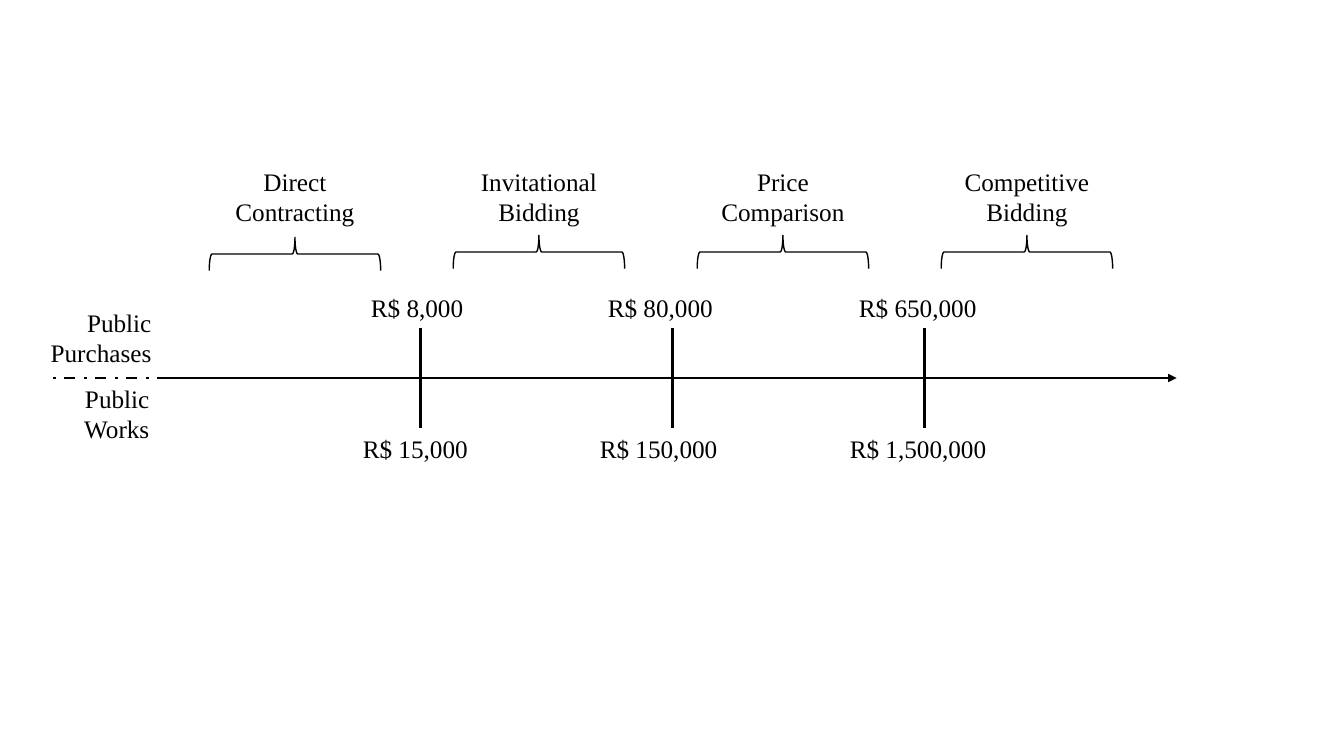
from dataclasses import dataclass

from lxml.etree import SubElement
from pptx import Presentation
from pptx.dml.color import RGBColor
from pptx.enum.dml import MSO_LINE
from pptx.enum.shapes import MSO_CONNECTOR, MSO_SHAPE
from pptx.enum.text import MSO_AUTO_SIZE, PP_ALIGN
from pptx.oxml.ns import qn
from pptx.shapes.connector import Connector
from pptx.slide import Slide
from pptx.util import Inches, Pt

BLACK = RGBColor(0x00, 0x00, 0x00)
FONT = "Times New Roman"
AXIS_Y = 3.75
AXIS_START = 1.67
TICK_HALF = 0.5
BRACE_WIDTH, BRACE_LENGTH = 0.33, 1.7
METHOD_LEFT, METHOD_STEP, METHOD_WIDTH = 2.05, 2.42, 1.75


@dataclass
class Label:
    text: str
    left: float
    top: float
    width: float
    height: float = 0.4
    align: PP_ALIGN = PP_ALIGN.LEFT


@dataclass
class Threshold:
    tick_x: float
    purchases: Label
    works: Label


METHODS = [
    "Direct\nContracting",
    "Invitational\nBidding",
    "Price\nComparison",
    "Competitive\nBidding",
]
THRESHOLDS = [
    Threshold(4.17, Label("R$ 8,000", 3.58, 2.85, 1.17), Label("R$ 15,000", 3.5, 4.25, 1.33)),
    Threshold(6.67, Label("R$ 80,000", 5.93, 2.85, 1.4), Label("R$ 150,000", 5.85, 4.25, 1.49)),
    Threshold(9.17, Label("R$ 650,000", 8.42, 2.85, 1.58), Label("R$ 1,500,000", 8.33, 4.25, 1.67)),
]
SIDES = [
    Label("Public\nPurchases", 0.25, 3, 1.35, 0.71, PP_ALIGN.RIGHT),
    Label("Public Works", 0.48, AXIS_Y, 1.1, 0.71, PP_ALIGN.RIGHT),
]


def add_label(page: Slide, label: Label) -> None:
    """Write one label in the slide's font."""
    box = page.shapes.add_textbox(
        Inches(label.left), Inches(label.top), Inches(label.width), Inches(label.height)
    )
    frame = box.text_frame
    frame.word_wrap = True
    frame.auto_size = MSO_AUTO_SIZE.SHAPE_TO_FIT_TEXT
    frame.text = label.text
    for para in frame.paragraphs:
        para.alignment = label.align
        for span in para.runs:
            span.font.name = FONT
            span.font.size = Pt(18)
            span.font.color.rgb = BLACK


def add_line(page: Slide, x1: float, y1: float, x2: float, y2: float) -> Connector:
    """Draw a straight black line without a shadow."""
    line = page.shapes.add_connector(
        MSO_CONNECTOR.STRAIGHT, Inches(x1), Inches(y1), Inches(x2), Inches(y2)
    )
    line.line.color.rgb = BLACK
    line.line.width = Pt(2)
    SubElement(line._element.spPr, qn("a:effectLst"))
    return line


def add_brace(page: Slide, center_x: float, center_y: float) -> None:
    """Draw a brace that points up at its method."""
    brace = page.shapes.add_shape(
        MSO_SHAPE.LEFT_BRACE,
        Inches(center_x - BRACE_WIDTH / 2),
        Inches(center_y - BRACE_LENGTH / 2),
        Inches(BRACE_WIDTH),
        Inches(BRACE_LENGTH),
    )
    brace.rotation = 90
    brace.shadow.inherit = False
    brace.fill.background()
    brace.line.color.rgb = BLACK
    brace.line.width = Pt(1)


def add_axis(page: Slide) -> None:
    """Draw the value axis with its arrow and its dashed start."""
    axis = add_line(page, AXIS_START, AXIS_Y, 11.67, AXIS_Y)
    SubElement(axis.line._get_or_add_ln(), qn("a:tailEnd"), type="triangle")
    dashes = add_line(page, AXIS_START, AXIS_Y, 0.5, AXIS_Y)
    dashes.line.dash_style = MSO_LINE.DASH_DOT


def main() -> None:
    """Build the slide and save it."""
    deck = Presentation()
    deck.slide_width, deck.slide_height = Inches(13.33), Inches(7.5)
    page = deck.slides.add_slide(deck.slide_layouts[6])
    for threshold in THRESHOLDS:
        add_label(page, threshold.purchases)
        add_label(page, threshold.works)
        add_line(page, threshold.tick_x, AXIS_Y - TICK_HALF, threshold.tick_x, AXIS_Y + TICK_HALF)
    for index, method in enumerate(METHODS):
        left = METHOD_LEFT + index * METHOD_STEP
        add_label(page, Label(method, left, 1.6, METHOD_WIDTH, 0.71, PP_ALIGN.CENTER))
        add_brace(page, left + METHOD_WIDTH / 2, 2.52 if index == 0 else 2.5)
    add_axis(page)
    for side in SIDES:
        add_label(page, side)
    deck.save("out.pptx")


main()
